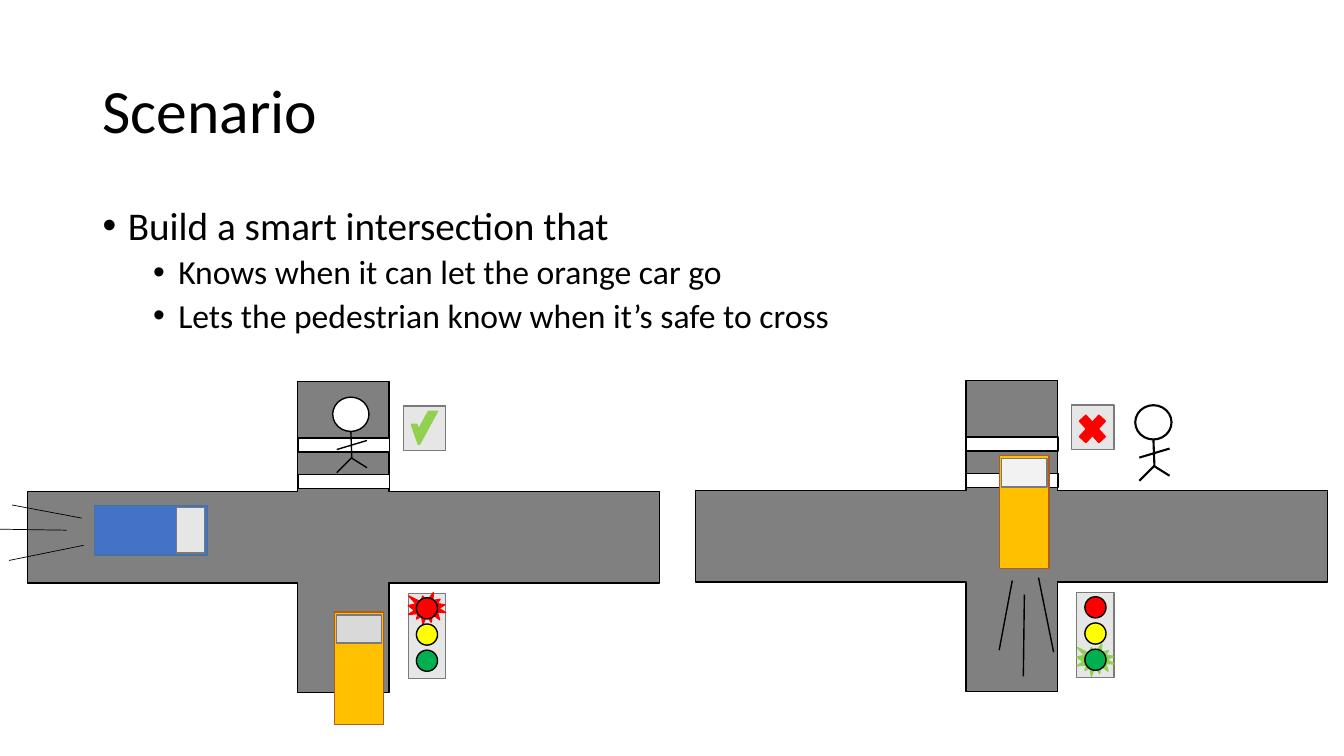
from math import cos, radians, sin

from lxml import etree
from pptx import Presentation
from pptx.dml.color import RGBColor
from pptx.enum import shapes, text
from pptx.oxml import ns
from pptx.util import Inches, Pt

MSO = shapes.MSO_SHAPE
COLORS = {
    "black": "000000", "white": "FFFFFF", "road": "808080",
    "panel": "E7E6E6", "panel_edge": "7A7A7A",
    "red": "FF0000", "yellow": "FFFF00", "green": "00B050", "lime": "92D050",
    "blue": "4472C4", "blue_edge": "43739E",
    "orange": "FFC000", "orange_edge": "AF5C24",
    "window_mid": "D9D9D9", "window_light": "F2F2F2",
}


def rgb(name):
    return RGBColor.from_string(COLORS[name])


def add_shape(s, kind, x, y, w, h, fill, edge="black", rot=0, adj=None):
    sp = s.shapes.add_shape(kind, Inches(x), Inches(y), Inches(w), Inches(h))
    sp.shadow.inherit = False
    sp.fill.solid()
    sp.fill.fore_color.rgb = rgb(fill)
    sp.line.color.rgb = rgb(edge)
    sp.line.width = Pt(1)
    sp.rotation = rot
    if adj is not None:
        sp.adjustments[0] = adj
    return sp


def add_line(s, x1, y1, x2, y2, width=1):
    line = s.shapes.add_connector(shapes.MSO_CONNECTOR.STRAIGHT, Inches(x1),
                                  Inches(y1), Inches(x2), Inches(y2))
    line.line.color.rgb = rgb("black")
    line.line.width = Pt(width)
    etree.SubElement(line.element.spPr, ns.qn("a:effectLst"))


def add_text(s, x, y, w, h, items, anchor):
    """Each item is (text, size, bullet indent or None, space before)."""
    tf = s.shapes.add_textbox(Inches(x), Inches(y), Inches(w), Inches(h)).text_frame
    tf.word_wrap = True
    tf.vertical_anchor = anchor
    for i, (words, size, indent, before) in enumerate(items):
        p = tf.add_paragraph() if i else tf.paragraphs[0]
        p.text = words
        p.line_spacing = 0.9
        p.space_before = Pt(before)
        if indent is not None:
            pPr = p._p.get_or_add_pPr()
            pPr.set("marL", str(Inches(indent)))
            pPr.set("indent", str(-Inches(0.25)))
            if indent > 0.5:
                p.level = 1
            etree.SubElement(pPr, ns.qn("a:buFont")).set("typeface", "Arial")
            etree.SubElement(pPr, ns.qn("a:buChar")).set("char", "•")
        r = p.runs[0]
        r.font.name = "Calibri"
        r.font.size = Pt(size)
        r.font.color.rgb = rgb("black")


def add_roads(s, x, y):
    add_shape(s, MSO.MATH_PLUS, x, y, 8.53, 4.2, "road", adj=0.216)
    # Crosswalk stripes
    for dy in (0.73, 1.09):
        add_shape(s, MSO.RECTANGLE, x + 4.2, y + dy, 0.14, 0.91, "white", rot=90)


def add_traffic_light(s, x, y, lit, glow):
    add_shape(s, MSO.RECTANGLE, x, y, 0.37, 0.84, "panel", "panel_edge")
    for i, lamp in enumerate(("red", "yellow", "green")):
        lamp_y = y + 0.04 + 0.26 * i
        if lamp == lit:
            add_shape(s, MSO.EXPLOSION1, x, lamp_y - 0.05, 0.37, 0.32, glow, glow)
        add_shape(s, MSO.OVAL, x + 0.08, lamp_y, 0.21, 0.21, lamp)


def add_walk_sign(s, x, y, safe):
    add_shape(s, MSO.RECTANGLE, x, y, 0.42, 0.44, "panel", "panel_edge")
    if safe:
        # Check mark from a long and a short stroke
        add_shape(s, MSO.DIAGONAL_STRIPE, x + 0.16, y + 0.05, 0.18, 0.33, "lime", "lime")
        short = add_shape(s, MSO.DIAGONAL_STRIPE, x + 0.08, y + 0.18, 0.07, 0.2,
                          "lime", "lime", adj=0.21)
        short.element.spPr.find(ns.qn("a:xfrm")).set("flipH", "1")
    else:
        add_shape(s, MSO.MATH_MULTIPLY, x + 0.02, y + 0.03, 0.37, 0.41, "red", "red")


def add_car(s, cx, cy, color, window, rot=0):
    """Place a car by its centre; the window sits toward the front."""
    add_shape(s, MSO.RECTANGLE, cx - 0.56, cy - 0.245, 1.12, 0.49,
              color, color + "_edge", rot)
    wx = cx + 0.39 * cos(radians(rot))
    wy = cy + 0.39 * sin(radians(rot))
    add_shape(s, MSO.RECTANGLE, wx - 0.14, wy - 0.225, 0.28, 0.45,
              window, "panel_edge", rot)


def add_pedestrian(s, x, y, width):
    add_shape(s, MSO.OVAL, x, y, 0.36, 0.34, "white").line.width = Pt(width)
    limbs = [(0.18, 0.34, 0.19, 0.61), (0.04, 0.52, 0.34, 0.43),
             (0.04, 0.75, 0.19, 0.6), (0.18, 0.6, 0.34, 0.7)]
    for x1, y1, x2, y2 in limbs:
        add_line(s, x + x1, y + y1, x + x2, y + y2, width)


def add_intersection(s, x, y, safe):
    """Roads, traffic light and walk sign; safe means pedestrians may cross."""
    add_roads(s, x, y)
    lit, glow = ("red", "red") if safe else ("green", "lime")
    add_traffic_light(s, x + 4.91, y + 2.66, lit, glow)
    add_walk_sign(s, x + 4.86, y + 0.8, safe)


def add_crossing_scene(s, x, y):
    add_intersection(s, x, y, safe=True)
    add_car(s, x + 2.36, y + 2.03, "blue", "panel")
    add_car(s, x + 4.42, y + 3.4, "orange", "window_mid", rot=270)
    add_pedestrian(s, x + 4.16, y + 0.71, 1)
    # Speed lines behind the blue car
    for x1, y1, x2, y2 in [(1.67, 1.91, 0.98, 1.78), (1.52, 2.03, 0.86, 2.02),
                           (1.69, 2.18, 0.95, 2.33)]:
        add_line(s, x + x1, y + y1, x + x2, y + y2, 0.5)


def add_driving_scene(s, x, y):
    add_intersection(s, x, y, safe=False)
    add_car(s, x + 4.39, y + 1.86, "orange", "window_light", rot=270)
    add_pedestrian(s, x + 5.49, y + 0.8, 1.5)
    # Speed lines behind the orange car
    for x1, y1, x2, y2 in [(4.27, 2.54, 4.14, 3.23), (4.39, 2.68, 4.38, 3.49),
                           (4.53, 2.51, 4.68, 3.25)]:
        add_line(s, x + x1, y + y1, x + x2, y + y2)


def main():
    prs = Presentation()
    prs.slide_width, prs.slide_height = Inches(13.33), Inches(7.5)
    s = prs.slides.add_slide(prs.slide_layouts[6])
    # Title and bullets
    add_text(s, 0.92, 0.4, 11.5, 1.45, [("Scenario", 44, None, 0)],
             text.MSO_ANCHOR.MIDDLE)
    add_text(s, 0.92, 2, 11.5, 4.76, [
        ("Build a smart intersection that", 28, 0.25, 0),
        ("Knows when it can let the orange car go", 24, 0.75, 5),
        ("Lets the pedestrian know when it’s safe to cross", 24, 0.75, 5),
    ], text.MSO_ANCHOR.TOP)
    # Two states of the intersection
    add_driving_scene(s, 5.77, 3.22)
    add_crossing_scene(s, -0.86, 3.23)
    prs.save("out.pptx")


if __name__ == "__main__":
    main()
